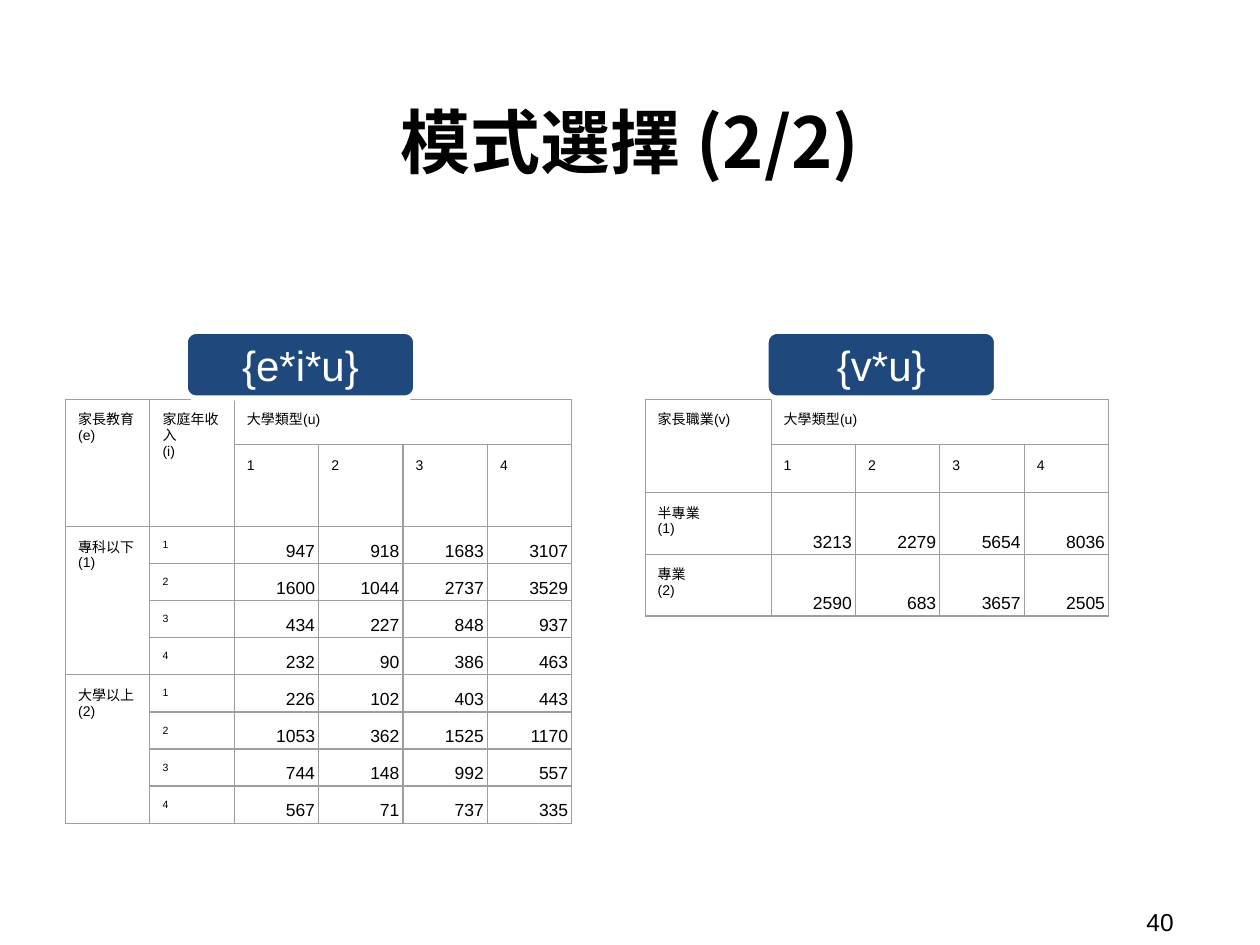
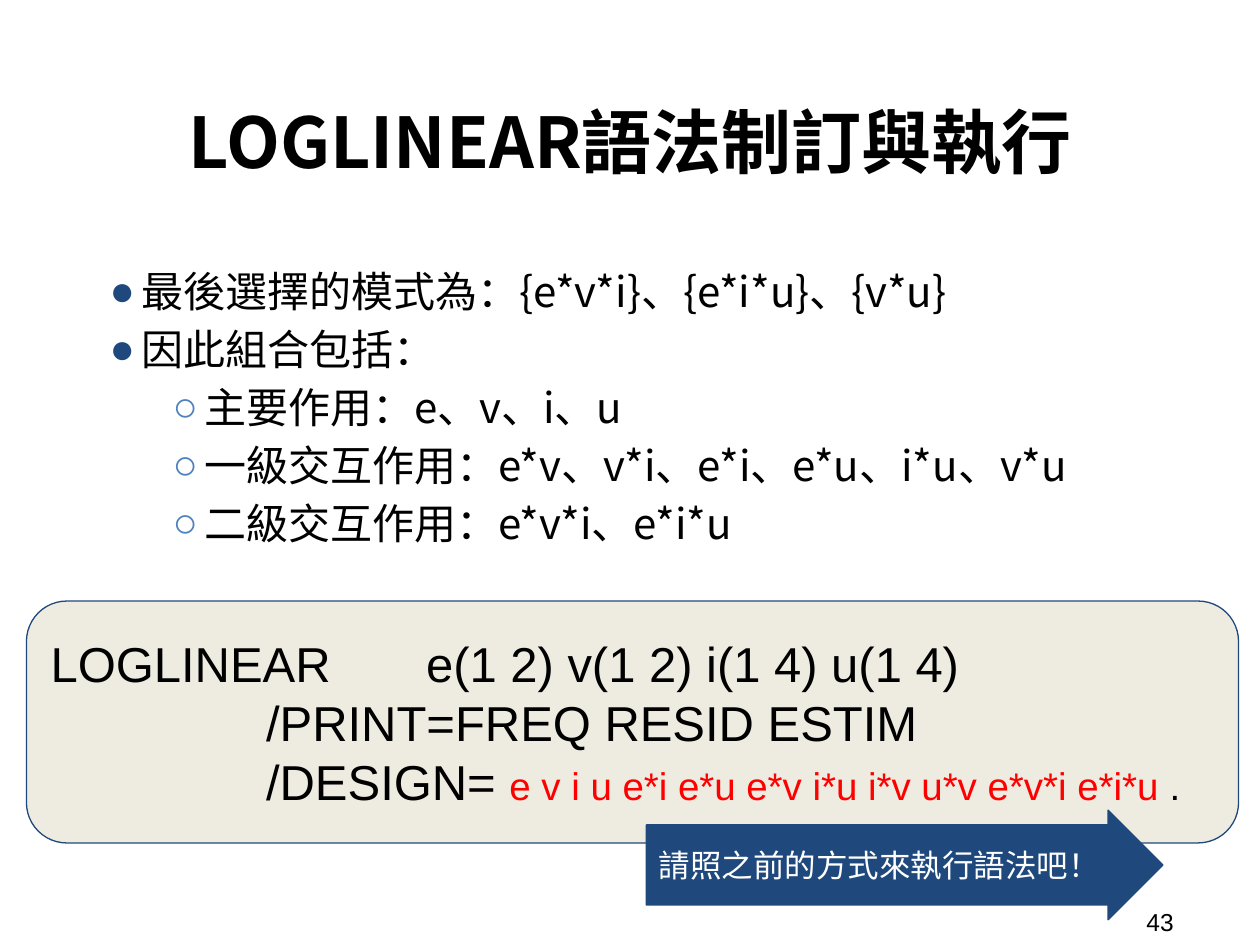
import pptx
import pptx.util
import pptx.dml.color
import pptx.enum.text
import pptx.enum.shapes
import pptx.oxml.ns
import lxml.etree

Inches, Pt = pptx.util.Inches, pptx.util.Pt
ALIGN, ANCHOR = pptx.enum.text.PP_ALIGN, pptx.enum.text.MSO_ANCHOR
SHAPE = pptx.enum.shapes.MSO_SHAPE
qn = pptx.oxml.ns.qn

# Content
COLORS = {"ink": "000000", "paper": "FFFFFF", "navy": "1F497D", "blue": "4F81BD",
          "sand": "EEECE1", "grid": "9E9E9E", "red": "FF0000"}
SANS, CJK = "Arial", "Noto Sans CJK TC"

KINDS = "大學類型(u)"
TABLES = [
    {"name": "{e*i*u}", "tag": 1.47, "left": 0.52,
     "heads": ["家長教育\n(e)", "家庭年收入\n(i)"],
     "cols": [0.67] * 6, "rows": [0.36, 0.65] + [2.35 / 8] * 8,
     "groups": [
         ("專科以下\n(1)", [(947, 918, 1683, 3107), (1600, 1044, 2737, 3529),
                        (434, 227, 848, 937), (232, 90, 386, 463)]),
         ("大學以上\n(2)", [(226, 102, 403, 443), (1053, 362, 1525, 1170),
                        (744, 148, 992, 557), (567, 71, 737, 335)])]},
    {"name": "{v*u}", "tag": 6.08, "left": 5.12,
     "heads": ["家長職業(v)"],
     "cols": [1] + [0.67] * 4, "rows": [0.36, 0.38, 0.49, 0.49],
     "groups": [("半專業\n(1)", [(3213, 2279, 5654, 8036)]),
                ("專業\n(2)", [(2590, 683, 3657, 2505)])]},
]

POINTS = [(0, "最後選擇的模式為：{e*v*i}、{e*i*u}、{v*u}"),
          (0, "因此組合包括："),
          (1, "主要作用：e、v、i、u"),
          (1, "一級交互作用：e*v、v*i、e*i、e*u、i*u、v*u"),
          (1, "二級交互作用：e*v*i、e*i*u")]
BULLETS = [("●", "navy"), ("○", "blue")]

# Each line of syntax: indent, then runs of (text, size, colour)
CODE = [(0, [("LOGLINEAR\te(1 2) v(1 2) i(1 4) u(1 4)", 28, "ink")]),
        (1.71, [("/PRINT=FREQ RESID ESTIM", 28, "ink")]),
        (1.71, [("/DESIGN= ", 28, "ink"),
                ("e v i u e*i e*u e*v i*u i*v u*v e*v*i e*i*u", 22, "red"),
                (" .", 22, "ink")])]
CODE_TAB = 2.98


# Shared helpers
def rgb(name):
    return pptx.dml.color.RGBColor.from_string(COLORS[name])


def add(parent, tag, **attrs):
    node = lxml.etree.SubElement(parent, qn(tag))
    for key, val in attrs.items():
        node.set(key, str(val))
    return node


def style(run, size, color="ink", font=SANS, bold=False):
    run.font.size, run.font.name, run.font.bold = Pt(size), font, bold
    run.font.color.rgb = rgb(color)
    add(run._r.get_or_add_rPr(), "a:ea", typeface=font)


def pad(frame, x=0.1, y=0.1, anchor=ANCHOR.MIDDLE):
    frame.margin_left = frame.margin_right = Inches(x)
    frame.margin_top = frame.margin_bottom = Inches(y)
    frame.vertical_anchor = anchor
    frame.word_wrap = True
    frame.auto_size = pptx.enum.text.MSO_AUTO_SIZE.NONE


def write(frame, text, size, color="ink", font=SANS, align=ALIGN.LEFT, bold=False):
    frame.text = text
    for para in frame.paragraphs:
        para.alignment = align
        for run in para.runs:
            style(run, size, color, font, bold)


def place(shape, *box):
    shape.left, shape.top, shape.width, shape.height = map(Inches, box)


def block(slide, kind, box, fill, line, width, adjust):
    shape = slide.shapes.add_shape(kind, *map(Inches, box))
    shape.shadow.inherit = False
    shape.fill.solid()
    shape.fill.fore_color.rgb = rgb(fill)
    shape.line.color.rgb = rgb(line)
    shape.line.width = Pt(width)
    for i, val in enumerate(adjust):
        shape.adjustments[i] = val
    pad(shape.text_frame)
    return shape


def start(deck, layout, title, page):
    """Add a slide with the common title and page number."""
    slide = deck.slides.add_slide(deck.slide_layouts[layout])
    head = slide.shapes.title
    place(head, 0.52, 0.19, 8.96, 1.36)
    pad(head.text_frame, anchor=ANCHOR.BOTTOM)
    write(head.text_frame, title, 40, font=CJK, align=ALIGN.CENTER, bold=True)
    foot = slide.shapes.add_textbox(*map(Inches, (9, 7.17, 0.92, 0.29)))
    pad(foot.text_frame, y=0.05)
    write(foot.text_frame, page, 14)
    return slide


# Tables
def fill_cell(cell, text, size, number=False):
    cell.fill.solid()
    cell.fill.fore_color.rgb = rgb("paper")
    x, y = (0.03, 0.02) if number else (0.1, 0.1)
    cell.margin_left = cell.margin_right = Inches(x)
    cell.margin_top = cell.margin_bottom = Inches(y)
    cell.vertical_anchor = ANCHOR.BOTTOM if number else ANCHOR.TOP
    write(cell.text_frame, text, size, align=ALIGN.RIGHT if number else ALIGN.LEFT)
    if number:
        cell.text_frame.paragraphs[0].line_spacing = 1.15


def border(cell):
    props = cell._tc.get_or_add_tcPr()
    for i, side in enumerate(("a:lnL", "a:lnR", "a:lnT", "a:lnB")):
        line = add(props, side, w=Pt(0.75))
        add(add(line, "a:solidFill"), "a:srgbClr", val=COLORS["grid"])
        props.insert(i, line)


def cross(slide, data):
    cols, rows, heads = data["cols"], data["rows"], data["heads"]
    box = (data["left"], 3.17, sum(cols), sum(rows))
    table = slide.shapes.add_table(len(rows), len(cols), *map(Inches, box)).table
    table.first_row = table.horz_banding = False
    for part, size in zip(table.columns, cols):
        part.width = Inches(size)
    for part, size in zip(table.rows, rows):
        part.height = Inches(size)

    # Heading rows
    first = len(heads)
    for c, text in enumerate(heads):
        table.cell(0, c).merge(table.cell(1, c))
        fill_cell(table.cell(0, c), text, 8)
    table.cell(0, first).merge(table.cell(0, len(cols) - 1))
    fill_cell(table.cell(0, first), KINDS, 8)
    for c in range(first, len(cols)):
        fill_cell(table.cell(1, c), str(c - first + 1), 8)

    # Counts, grouped by the first column
    r = 2
    for label, lines in data["groups"]:
        if len(lines) > 1:
            table.cell(r, 0).merge(table.cell(r + len(lines) - 1, 0))
        fill_cell(table.cell(r, 0), label, 8)
        for i, line in enumerate(lines, 1):
            if first == 2:
                fill_cell(table.cell(r, 1), str(i), 6)
            for c, count in enumerate(line, first):
                fill_cell(table.cell(r, c), str(count), 10, number=True)
            r += 1
    for cell in table.iter_cells():
        border(cell)


# Slides
def models(deck):
    slide = start(deck, 5, "模式選擇 (2/2)", "40")
    for data in TABLES:
        cross(slide, data)
        tag = block(slide, SHAPE.ROUNDED_RECTANGLE, (data["tag"], 2.63, 1.83, 0.53),
                    "navy", "paper", 3, [0.167])
        write(tag.text_frame, data["name"], 24, "paper", align=ALIGN.CENTER)


def syntax(deck):
    slide = start(deck, 1, "LOGLINEAR語法制訂與執行", "43")

    # Bulleted points
    body = slide.placeholders[1]
    place(body, 0.52, 1.95, 8.96, 5.15)
    pad(body.text_frame, anchor=ANCHOR.TOP)
    write(body.text_frame, "\n".join(text for _, text in POINTS), 24, font=CJK)
    for para, (level, _) in zip(body.text_frame.paragraphs, POINTS):
        para.level, para.line_spacing = level, 1.15
        para.space_before = para.space_after = Pt(0)
        sign, color = BULLETS[level]
        props = para._p.get_or_add_pPr()
        props.set("marL", str(Inches(0.5 + 0.5 * level)))
        props.set("indent", str(Inches(-0.25)))
        add(add(props, "a:buClr"), "a:srgbClr", val=COLORS[color])
        add(props, "a:buFont", typeface=SANS)
        add(props, "a:buChar", char=sign)

    # Syntax panel
    panel = block(slide, SHAPE.ROUNDED_RECTANGLE, (0.21, 4.77, 9.62, 1.92),
                  "sand", "navy", 0.75, [0.167])
    frame = panel.text_frame
    for i, (indent, runs) in enumerate(CODE):
        para = frame.add_paragraph() if i else frame.paragraphs[0]
        para.alignment = ALIGN.LEFT
        props = para._p.get_or_add_pPr()
        props.set("marL", str(Inches(indent)))
        if not indent:
            add(add(props, "a:tabLst"), "a:tab", pos=Inches(CODE_TAB), algn="l")
        for text, size, color in runs:
            run = para.add_run()
            run.text = text
            style(run, size, color)

    # Call to action
    arrow = block(slide, SHAPE.RIGHT_ARROW, (5.13, 6.43, 4.1, 0.87),
                  "navy", "navy", 0.75, [0.731, 0.5])
    write(arrow.text_frame, "請照之前的方式來執行語法吧！", 18, "paper")


def main():
    deck = pptx.Presentation()
    deck.slide_width, deck.slide_height = Inches(10), Inches(7.5)
    models(deck)
    syntax(deck)
    deck.save("out.pptx")


if __name__ == "__main__":
    main()
